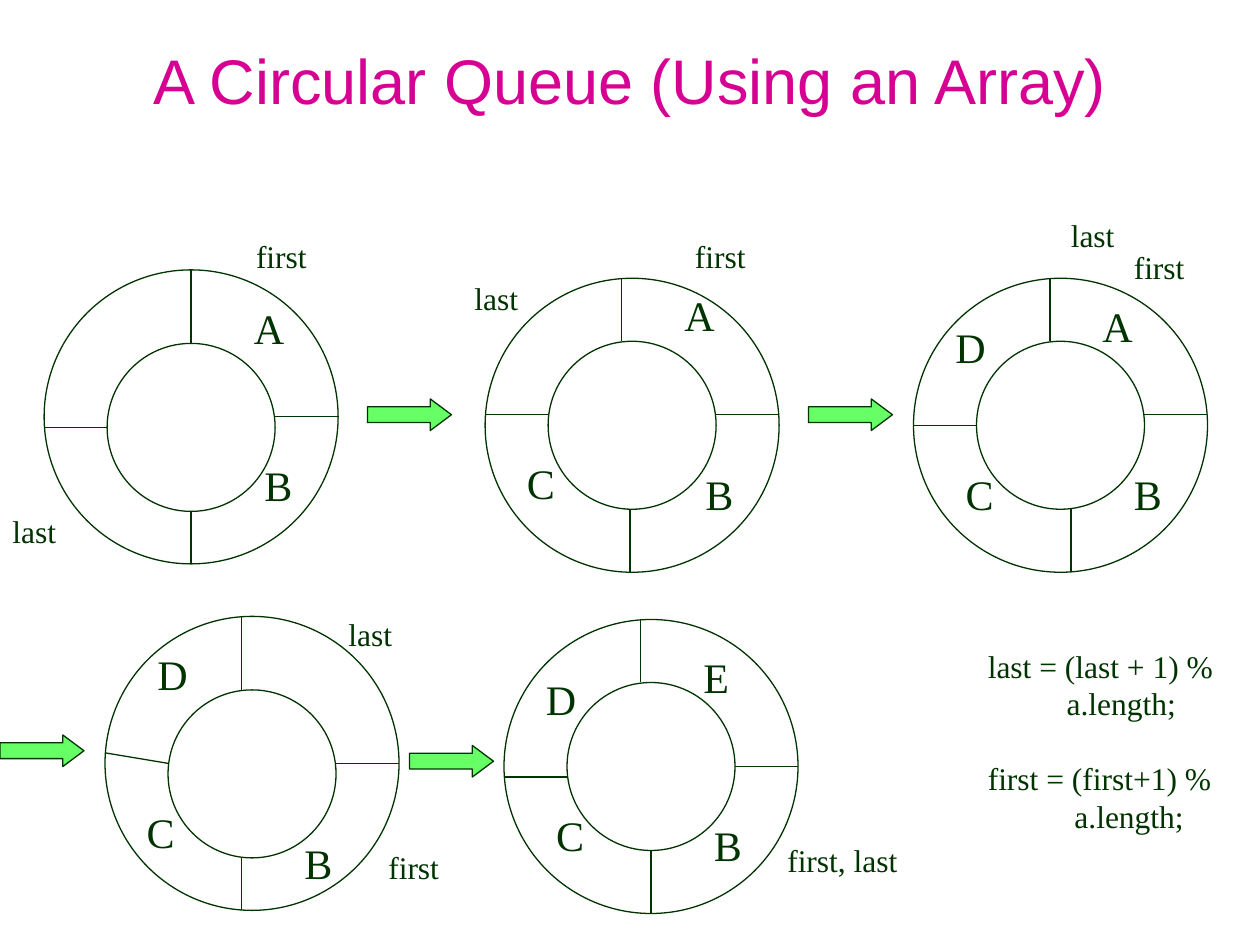
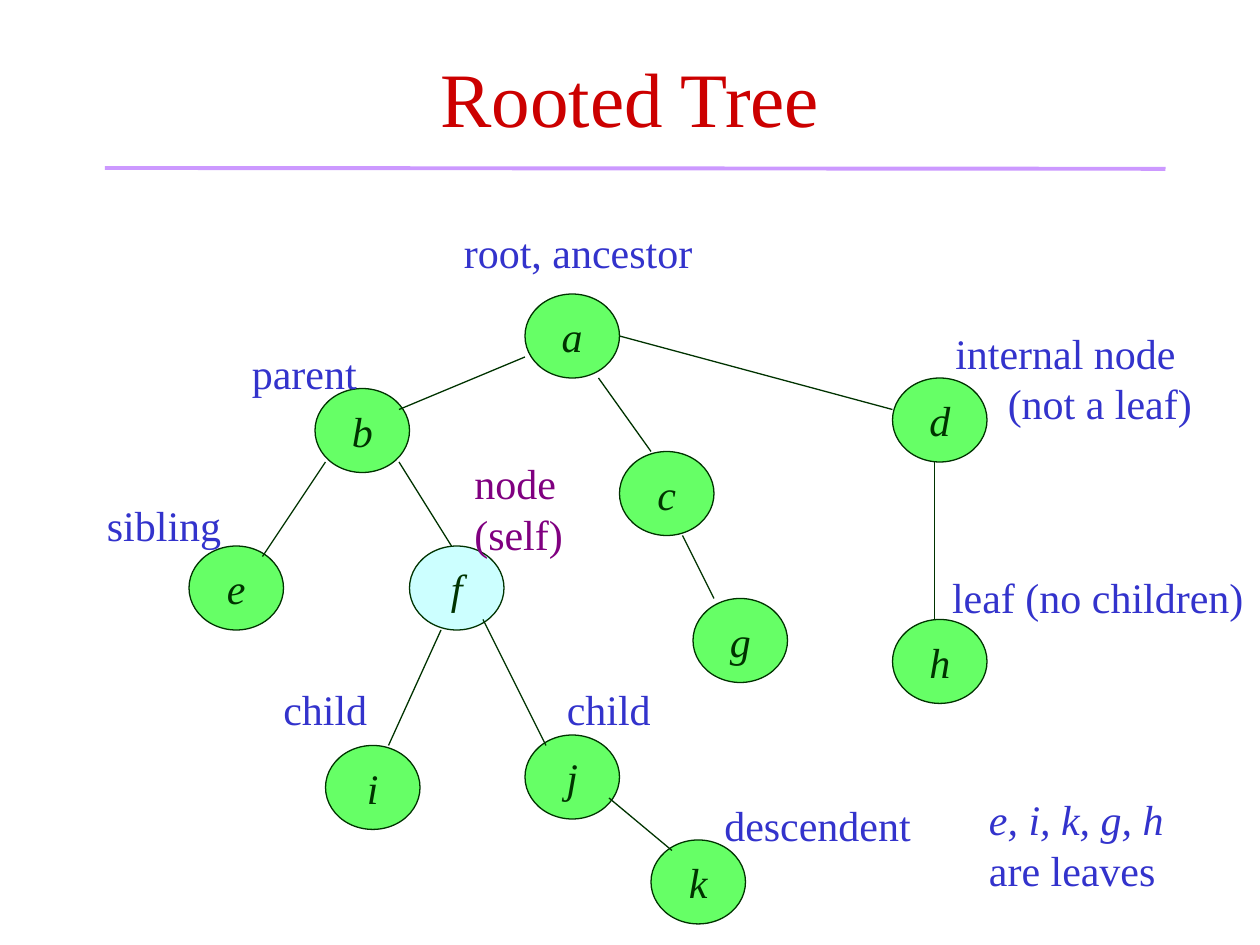
"""Builds two slides: a circular queue in an array and the terms of a rooted tree."""
from lxml.etree import SubElement
from pptx import Presentation
from pptx.dml.color import RGBColor
from pptx.enum.shapes import MSO_CONNECTOR, MSO_SHAPE
from pptx.enum.text import MSO_ANCHOR, MSO_AUTO_SIZE, PP_ALIGN
from pptx.oxml.ns import qn
from pptx.util import Cm, Pt

STEP = 2.54 / 12
SERIF = "Times New Roman"
DARK, GREEN, CYAN = "003300", "66FF66", "CCFFFF"
BLUE, PURPLE, LILAC = "3333CC", "800080", "CC99FF"


def write(frame, text, colour, align=PP_ALIGN.LEFT, **font_format):
    frame.text = text
    for paragraph in frame.paragraphs:
        paragraph.alignment = align
        paragraph.font.color.rgb = RGBColor.from_string(colour)
        for attribute, value in font_format.items():
            setattr(paragraph.font, attribute, value)


def outline(shape, colour=DARK, width=0.75, fill=None):
    shape.line.color.rgb = RGBColor.from_string(colour)
    shape.line.width = Pt(width)
    if fill:
        shape.fill.solid()
        shape.fill.fore_color.rgb = RGBColor.from_string(fill)
    SubElement(shape._element.spPr, qn("a:effectLst"))


deck = Presentation()
deck.slide_width, deck.slide_height = Cm(25.4), Cm(19.05)

titles = [
    ("A Circular Queue (Using an Array)", 0, "D60093", "Arial", 36, 0.13),
    ("Rooted Tree", 2, "CC0000", SERIF, 44, 0),
]
slides = []
for text, top, colour, font, size, inset in titles:
    slide = deck.slides.add_slide(deck.slide_layouts[5])
    title = slide.shapes.title
    title.left, title.top, title.width, title.height = (
        Cm(n * STEP) for n in (9, top, 102, 15))
    frame = title.text_frame
    title_format = {"auto_size": MSO_AUTO_SIZE.NONE, "margin_top": Cm(inset),
                    "vertical_anchor": MSO_ANCHOR.MIDDLE, "word_wrap": True}
    for attribute, value in title_format.items():
        setattr(frame, attribute, value)
    write(frame, text, colour, PP_ALIGN.CENTER, name=font, size=Pt(size))
    slides.append(slide)
queue, tree = slides

labels = []
lines = [(tree, 10, 16, 111, 16.08, LILAC, 2.25)]

# left, top, hub drop, then spoke offsets: top, bottom, right, left rim, left hub
rings = [
    (4.2, 25.7, 7, 14, 14, 14, 15, 15),
    (46.2, 26.5, 6, 13, 13.8, 13, 13, 13),
    (87, 26.5, 6, 13, 15, 13, 14, 14),
    (10, 58.7, 7, 13, 13, 14, 13, 14),
    (48, 59, 6, 13, 14, 14, 15, 15),
]
RIM, HUB, BAND = 28, 16, 6
for left, top, drop, north, south, east, west_rim, west_hub in rings:
    for inset, fall, diameter in ((0, 0, RIM), (BAND, drop, HUB)):
        circle = queue.shapes.add_shape(
            MSO_SHAPE.OVAL, Cm((left + inset) * STEP), Cm((top + fall) * STEP),
            Cm(diameter * STEP), Cm(diameter * STEP))
        circle.fill.background()
        outline(circle)
    spokes = [
        (north, 0, north, drop),
        (south, drop + HUB, south, RIM),
        (BAND + HUB, east, RIM, east),
        (0, west_rim, BAND, west_hub),
    ]
    for x1, y1, x2, y2 in spokes:
        lines.append((queue, left + x1, top + y1, left + x2, top + y2, DARK, 0.75))

for left, top in ((35, 38), (77, 38), (0, 70), (39, 71)):
    arrow = queue.shapes.add_shape(
        MSO_SHAPE.RIGHT_ARROW, Cm(left * STEP), Cm(top * STEP), Cm(8 * STEP), Cm(3 * STEP))
    arrow.adjustments[1] = 0.67
    outline(arrow, fill=GREEN)

entries = [
    ("A", 23, 28.2), ("B", 24, 43.2),
    ("A", 64, 27), ("B", 66, 44), ("C", 49, 43),
    ("A", 103.8, 28), ("B", 106.8, 44), ("C", 90.8, 44), ("D", 89.8, 30),
    ("D", 13.8, 61.2), ("B", 27.8, 79.2), ("C", 12.8, 76.2),
    ("D", 50.8, 63.6), ("B", 66.8, 77.5), ("C", 51.8, 76.5), ("E", 65.8, 61.5),
]
for letter, left, top in entries:
    width = 5.3 if letter in "CD" else 5.1
    labels.append((queue, letter, left, top, width, 24, DARK))

pointer_widths = {"first": 7.3, "last": 6.6, "first, last": 13.1}
pointers = [
    ("first", 23.2, 22), ("last", 0, 48.2),
    ("first", 65, 22), ("last", 44, 26),
    ("first", 106.8, 23), ("last", 100.8, 20),
    ("last", 32, 58), ("first", 35.8, 80.2),
    ("first, last", 73.8, 79.5),
]
for text, left, top in pointers:
    labels.append((queue, text, left, top, pointer_widths[text], 18, DARK))

update_rules = "last = (last + 1) %\na.length;\nfirst = (first+1) %\na.length;"
leaf_list = "e, i, k, g, h\nare leaves"
inner_node = "internal node\n(not a leaf)"
labels += [
    (queue, update_rules, 92.9, 61, 25, 18, DARK),
    (tree, "root, ancestor", 43, 21, 26.2, 24, BLUE),
    (tree, "parent", 22.8, 32.5, 12.4, 24, BLUE),
    (tree, "node\n(self)", 44, 43, 10.8, 24, PURPLE),
    (tree, "child", 25.8, 64.5, 10.4, 24, BLUE),
    (tree, "child", 52.8, 64.5, 10.4, 24, BLUE),
    (tree, "descendent", 67.8, 75.6, 20.2, 24, BLUE),
    (tree, "leaf (no children)", 89.5, 53.8, 30.5, 24, BLUE),
    (tree, leaf_list, 93, 75, 19.3, 24, BLUE),
    (tree, inner_node, 89.8, 30.6, 25, 24, BLUE),
    (tree, "sibling", 9, 47, 13.3, 24, BLUE),
]

nodes = {
    "a": (50, 28), "b": (30, 37), "c": (59, 43), "d": (85, 36),
    "e": (18, 52), "f": (39, 52), "g": (66, 57), "h": (85, 59),
    "i": (31, 71), "j": (50, 70), "k": (62, 80),
}
for name, (left, top) in nodes.items():
    node = tree.shapes.add_shape(
        MSO_SHAPE.OVAL, Cm(left * STEP), Cm(top * STEP), Cm(9 * STEP), Cm(8 * STEP))
    outline(node, fill=CYAN if name == "f" else GREEN)
    node.text_frame.word_wrap = False
    node.text_frame.vertical_anchor = MSO_ANCHOR.MIDDLE
    write(node.text_frame, name, DARK, PP_ALIGN.CENTER,
          name=SERIF, size=Pt(24), italic=True)

edges = [
    (50, 34, 38, 39), (57, 36, 62, 43), (59, 32, 85, 39),
    (31, 44, 25, 53), (38, 44, 43, 52), (65, 51, 68, 57),
    (89, 44, 89, 59), (42, 60, 37, 71), (46, 59, 52, 71), (58, 76, 64, 81),
]
lines += [(tree, *edge, DARK, 0.75) for edge in edges]

for slide, x1, y1, x2, y2, colour, width in lines:
    ends = (Cm(n * STEP) for n in (x1, y1, x2, y2))
    outline(slide.shapes.add_connector(MSO_CONNECTOR.STRAIGHT, *ends), colour, width)

indents = {update_rules: (0, 45, 0, 49.5), inner_node: (0, 30)}
for slide, text, left, top, width, size, colour in labels:
    height = (text.count("\n") + 1) * size / 5 + 1.2
    if text == update_rules:
        height += size / 5
    box = slide.shapes.add_textbox(*(Cm(n * STEP) for n in (left, top, width, height)))
    frame = box.text_frame
    frame.word_wrap = False
    write(frame, text, colour, name=SERIF, size=Pt(size))
    for paragraph, indent in zip(frame.paragraphs, indents.get(text, ())):
        paragraph._p.get_or_add_pPr().set("marL", str(Pt(indent)))
    if text == update_rules:
        frame.paragraphs[2].space_before = Pt(21)
    if text == leaf_list:
        frame.paragraphs[0].font.italic = True

deck.save("out.pptx")
